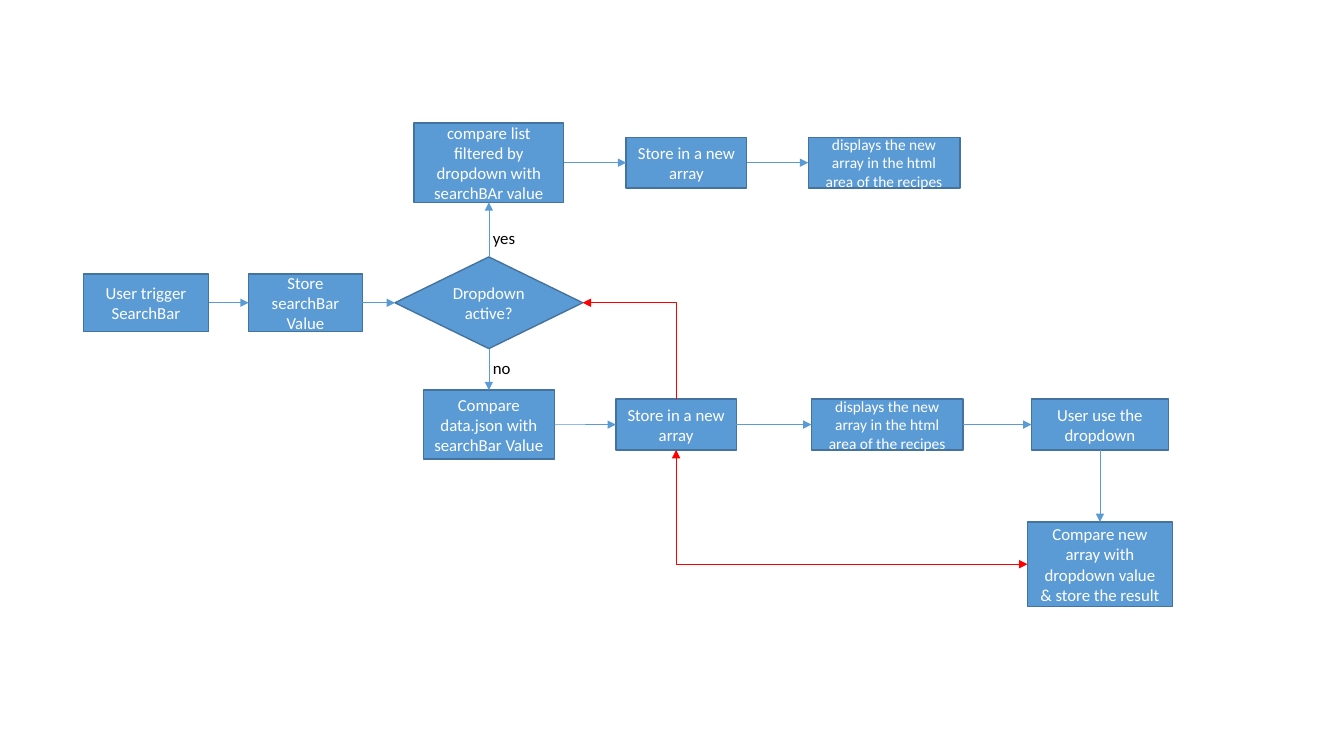
from lxml import etree
from pptx import Presentation
from pptx.dml.color import RGBColor
from pptx.enum.shapes import MSO_CONNECTOR, MSO_SHAPE
from pptx.enum.text import MSO_ANCHOR, MSO_AUTO_SIZE, PP_ALIGN
from pptx.oxml.ns import qn
from pptx.util import Cm, Pt

RECTANGLE, DIAMOND = MSO_SHAPE.RECTANGLE, MSO_SHAPE.DIAMOND
STRAIGHT, ELBOW = MSO_CONNECTOR.STRAIGHT, MSO_CONNECTOR.ELBOW
MIDDLE, CENTER, GROW = MSO_ANCHOR.MIDDLE, PP_ALIGN.CENTER, MSO_AUTO_SIZE.SHAPE_TO_FIT_TEXT
TOP, LEFT, BOTTOM, RIGHT = range(4)
BLANK_LAYOUT = 6


def color(value):
    """Turn a hex string into a colour."""
    return RGBColor.from_string(value)


def apply(target, values):
    """Set every attribute named in a dict of format values."""
    for name, value in values.items():
        setattr(target, name, value)


class FlowChart:
    """Hold the style and the current slide, and draw flow chart elements."""

    FILL, OUTLINE, RED, WHITE, BLACK = "5B9BD5", "43739E", "FF0000", "FFFFFF", "000000"
    FONT = "Calibri"

    def __init__(self, slide):
        """Keep the slide to draw on."""
        self.slide = slide

    def add_text(self, shape, text, size, font_color, frame_format):
        """Put one formatted paragraph into a shape and return it."""
        frame = shape.text_frame
        apply(frame, frame_format)
        paragraph = frame.paragraphs[0]
        run = paragraph.add_run()
        run.text = text
        apply(run.font, {"name": self.FONT, "size": Pt(size)})
        run.font.color.rgb = color(font_color)
        return paragraph

    def step(self, text, center_x, center_y, width, height, size=12, kind=RECTANGLE):
        """Draw a filled step around a centre point."""
        shape = self.slide.shapes.add_shape(
            kind, Cm(center_x - width / 2), Cm(center_y - height / 2), Cm(width), Cm(height))
        shape.shadow.inherit = False
        shape.fill.solid()
        shape.fill.fore_color.rgb = color(self.FILL)
        shape.line.color.rgb = color(self.OUTLINE)
        shape.line.width = Pt(1)
        paragraph = self.add_text(shape, text, size, self.WHITE,
                                  {"word_wrap": True, "vertical_anchor": MIDDLE})
        paragraph.alignment = CENTER
        return shape

    def label(self, text, left, top, width):
        """Add a branch label that fits its text."""
        shape = self.slide.shapes.add_textbox(Cm(left), Cm(top), Cm(width), Cm(0.76))
        self.add_text(shape, text, 12, self.BLACK, {"word_wrap": False, "auto_size": GROW})

    def arrow(self, start, start_side, end, end_side, kind=STRAIGHT,
              line_color=FILL, ends=("tailEnd",)):
        """Connect two steps with an arrow."""
        connector = self.slide.shapes.add_connector(kind, 0, 0, 0, 0)
        connector.begin_connect(start, start_side)
        connector.end_connect(end, end_side)
        connector.line.color.rgb = color(line_color)
        connector.line.width = Pt(0.5)
        properties = connector._element.spPr
        if kind == ELBOW:
            properties.find(qn("a:prstGeom")).set("prst", "bentConnector2")
        line = properties.find(qn("a:ln"))
        for name in ends:
            etree.SubElement(line, qn(f"a:{name}"), type="triangle")
        etree.SubElement(properties, qn("a:effectLst"))


presentation = Presentation()
apply(presentation, {"slide_width": Cm(33.87), "slide_height": Cm(19.05)})
chart = FlowChart(presentation.slides.add_slide(presentation.slide_layouts[BLANK_LAYOUT]))

yes_row, main_row, no_row, result_row = 4.1, 7.63, 10.7, 14.22
decision_x, store_x, dropdown_x = 12.32, 17.04, 27.72
store_text = "Store in a new array"
display_text = "displays the new array in the html area of the recipes"
store_size, display_size = (3.04, 1.28), (3.82, 1.28)

trigger = chart.step("User trigger SearchBar", 3.68, main_row, 3.15, 1.45)
store_value = chart.step("Store searchBar Value", 7.7, main_row, 2.87, 1.45)
decision = chart.step("Dropdown active?", decision_x, main_row, 4.73, 2.31, kind=DIAMOND)

compare_list = chart.step("compare list filtered by dropdown with searchBAr value",
                          decision_x, yes_row, 3.77, 2)
store_list = chart.step(store_text, 17.3, yes_row, *store_size)
display_list = chart.step(display_text, 22.28, yes_row, *display_size, size=11)

compare_data = chart.step("Compare data.json with searchBar Value",
                          decision_x, no_row, 3.3, 1.74)
store_data = chart.step(store_text, store_x, no_row, *store_size)
display_data = chart.step(display_text, 22.36, no_row, *display_size, size=11)
use_dropdown = chart.step("User use the dropdown", dropdown_x, no_row, 3.45, 1.28)
compare_new = chart.step("Compare new array with dropdown value & store the result",
                         dropdown_x, result_row, 3.65, 2.13)

chart.label("yes", 12.17, 5.61, 1.09)
chart.label("no", 12.17, 8.89, 0.97)

for row in ((trigger, store_value, decision),
            (compare_list, store_list, display_list),
            (compare_data, store_data, display_data, use_dropdown)):
    for start, end in zip(row, row[1:]):
        chart.arrow(start, RIGHT, end, LEFT)

chart.arrow(decision, TOP, compare_list, BOTTOM)
chart.arrow(decision, BOTTOM, compare_data, TOP)
chart.arrow(use_dropdown, BOTTOM, compare_new, TOP)
chart.arrow(compare_new, LEFT, store_data, BOTTOM, ELBOW, chart.RED, ("headEnd", "tailEnd"))
chart.arrow(decision, RIGHT, store_data, TOP, ELBOW, chart.RED, ("headEnd",))

presentation.save("out.pptx")
